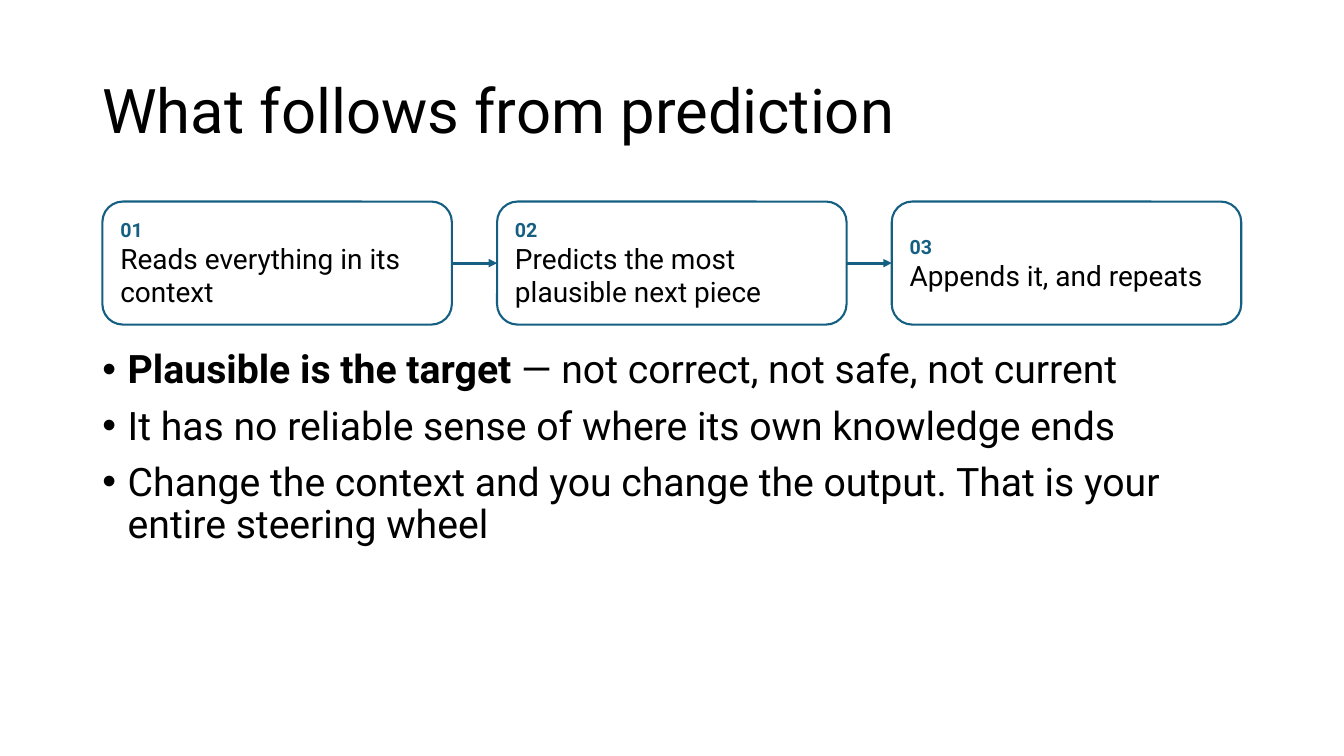
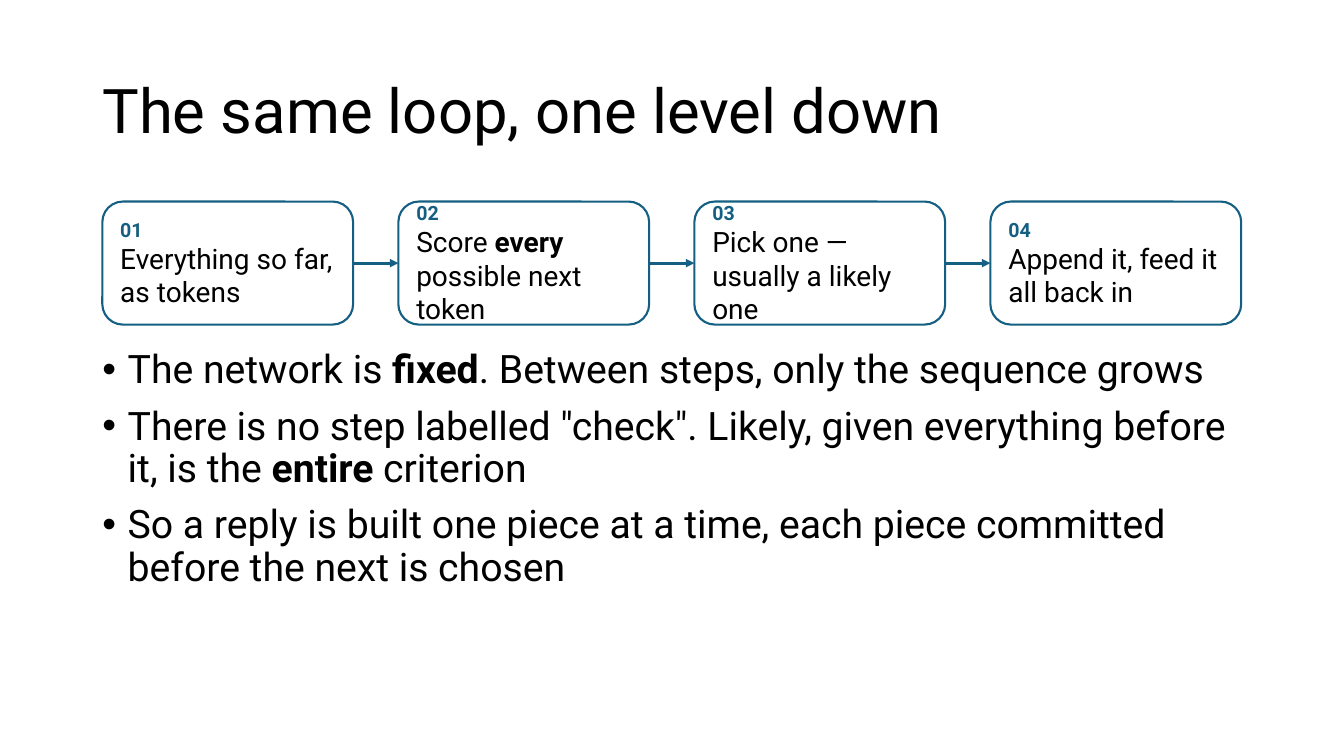
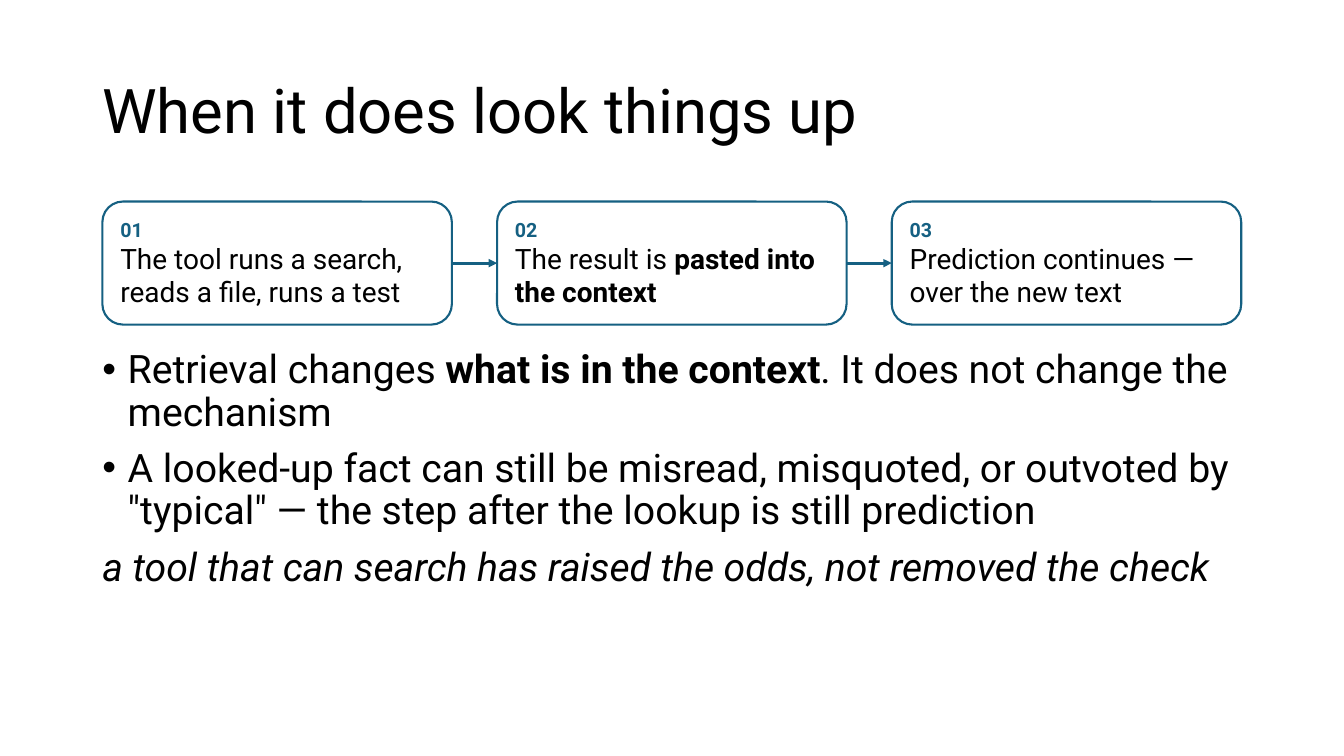
from lxml import etree
from pptx import Presentation
from pptx.dml.color import RGBColor
from pptx.enum.shapes import MSO_CONNECTOR as Conn, MSO_SHAPE as Shape
from pptx.enum.text import MSO_ANCHOR as Anchor, PP_ALIGN as Align
from pptx.oxml.ns import qn
from pptx.util import Cm, Pt

FONT = "Roboto"
BLUE, BLACK, WHITE = "156082", "000000", "FFFFFF"

# Boxes in cm: left, top, width, height
TITLE = (2.33, 1.02, 29.21, 3.68)
FLOW = (2.58, 5.08, 28.7, 3.1)
BODY = (2.33, 8.69, 29.21, 8.48)
GAP = 1.14

# Text between ** marks is bold
SLIDES = [
    {
        "title": "What follows from prediction",
        "steps": [
            "Reads everything in its context",
            "Predicts the most plausible next piece",
            "Appends it, and repeats",
        ],
        "points": [
            "**Plausible is the target** — not correct, not safe, not current",
            "It has no reliable sense of where its own knowledge ends",
            "Change the context and you change the output. "
            "That is your entire steering wheel",
        ],
    },
    {
        "title": "The same loop, one level down",
        "steps": [
            "Everything so far, as tokens",
            "Score **every** possible next token",
            "Pick one — usually a likely one",
            "Append it, feed it all back in",
        ],
        "points": [
            "The network is **fixed**. Between steps, only the sequence grows",
            'There is no step labelled "check". Likely, given everything '
            "before it, is the **entire** criterion",
            "So a reply is built one piece at a time, each piece committed "
            "before the next is chosen",
        ],
    },
    {
        "title": "When it does look things up",
        "steps": [
            "The tool runs a search, reads a file, runs a test",
            "The result is **pasted into the context**",
            "Prediction continues — over the new text",
        ],
        "points": [
            "Retrieval changes **what is in the context**. "
            "It does not change the mechanism",
            "A looked-up fact can still be misread, misquoted, or outvoted by "
            '"typical" — the step after the lookup is still prediction',
        ],
        "note": "a tool that can search has raised the odds, not removed the check",
    },
]


def color(code):
    return RGBColor.from_string(code)


def write(para, text, size, ink=BLACK, bold=False, italic=False):
    """Fill a paragraph, with marked parts in bold."""
    font = para.font
    font.name, font.size = FONT, Pt(size)
    font.bold, font.italic = bold, italic
    font.color.rgb = color(ink)
    for i, part in enumerate(text.split("**")):
        if part:
            run = para.add_run()
            run.text = part
            if i % 2:
                run.font.bold = True


def paras(frame, count):
    """Return the frame's first paragraph and enough new ones."""
    return [frame.paragraphs[0]] + [frame.add_paragraph() for _ in range(count - 1)]


def text_box(slide, box):
    frame = slide.shapes.add_textbox(*map(Cm, box)).text_frame
    frame.word_wrap = True
    return frame


def bullet(para):
    props = para._p.get_or_add_pPr()
    props.set("marL", str(Cm(0.64)))
    props.set("indent", str(-Cm(0.64)))
    etree.SubElement(props, qn("a:buFont")).set("typeface", "Arial")
    etree.SubElement(props, qn("a:buChar")).set("char", "•")


def heading(slide, box, text):
    frame = text_box(slide, box)
    frame.vertical_anchor = Anchor.MIDDLE
    para = frame.paragraphs[0]
    para.line_spacing = 0.9
    write(para, text, 44)


def card(slide, box, num, text):
    """Draw one numbered step."""
    shape = slide.shapes.add_shape(Shape.ROUNDED_RECTANGLE, *map(Cm, box))
    shape.shadow.inherit = False
    shape.fill.solid()
    shape.fill.fore_color.rgb = color(WHITE)
    shape.line.color.rgb = color(BLUE)
    shape.line.width = Pt(1.5)
    frame = shape.text_frame
    frame.word_wrap = True
    frame.vertical_anchor = Anchor.MIDDLE
    frame.margin_left = frame.margin_right = Cm(0.3)
    frame.margin_top = frame.margin_bottom = Cm(0.15)
    label, line = paras(frame, 2)
    label.alignment = line.alignment = Align.LEFT
    write(label, f"{num:02}", 14, BLUE, bold=True)
    write(line, text, 20)
    return shape


def arrow(slide, start, end):
    """Join the right side of one card to the left side of the next."""
    link = slide.shapes.add_connector(Conn.STRAIGHT, 0, 0, 0, 0)
    link.begin_connect(start, 3)
    link.end_connect(end, 1)
    link.line.color.rgb = color(BLUE)
    link.line.width = Pt(2)
    etree.SubElement(link.line._get_or_add_ln(), qn("a:tailEnd")).set("type", "triangle")
    etree.SubElement(link._element.spPr, qn("a:effectLst"))


def flow(slide, box, steps):
    left, top, width, height = box
    wide = (width - GAP * (len(steps) - 1)) / len(steps)
    cards = [
        card(slide, (left + i * (wide + GAP), top, wide, height), i + 1, step)
        for i, step in enumerate(steps)
    ]
    for start, end in zip(cards, cards[1:]):
        arrow(slide, start, end)


def body(slide, box, points, note=None):
    lines = points + ([note] if note else [])
    for i, para in enumerate(paras(text_box(slide, box), len(lines))):
        closing = i == len(points)
        if not closing:
            bullet(para)
        para.line_spacing = 0.9
        para.space_before = Pt(10 if i else 0)
        write(para, lines[i], 28, italic=closing)


def main():
    deck = Presentation()
    deck.slide_width, deck.slide_height = Cm(33.87), Cm(19.05)
    for data in SLIDES:
        slide = deck.slides.add_slide(deck.slide_layouts[6])
        heading(slide, TITLE, data["title"])
        flow(slide, FLOW, data["steps"])
        body(slide, BODY, data["points"], data.get("note"))
    deck.save("out.pptx")


if __name__ == "__main__":
    main()
